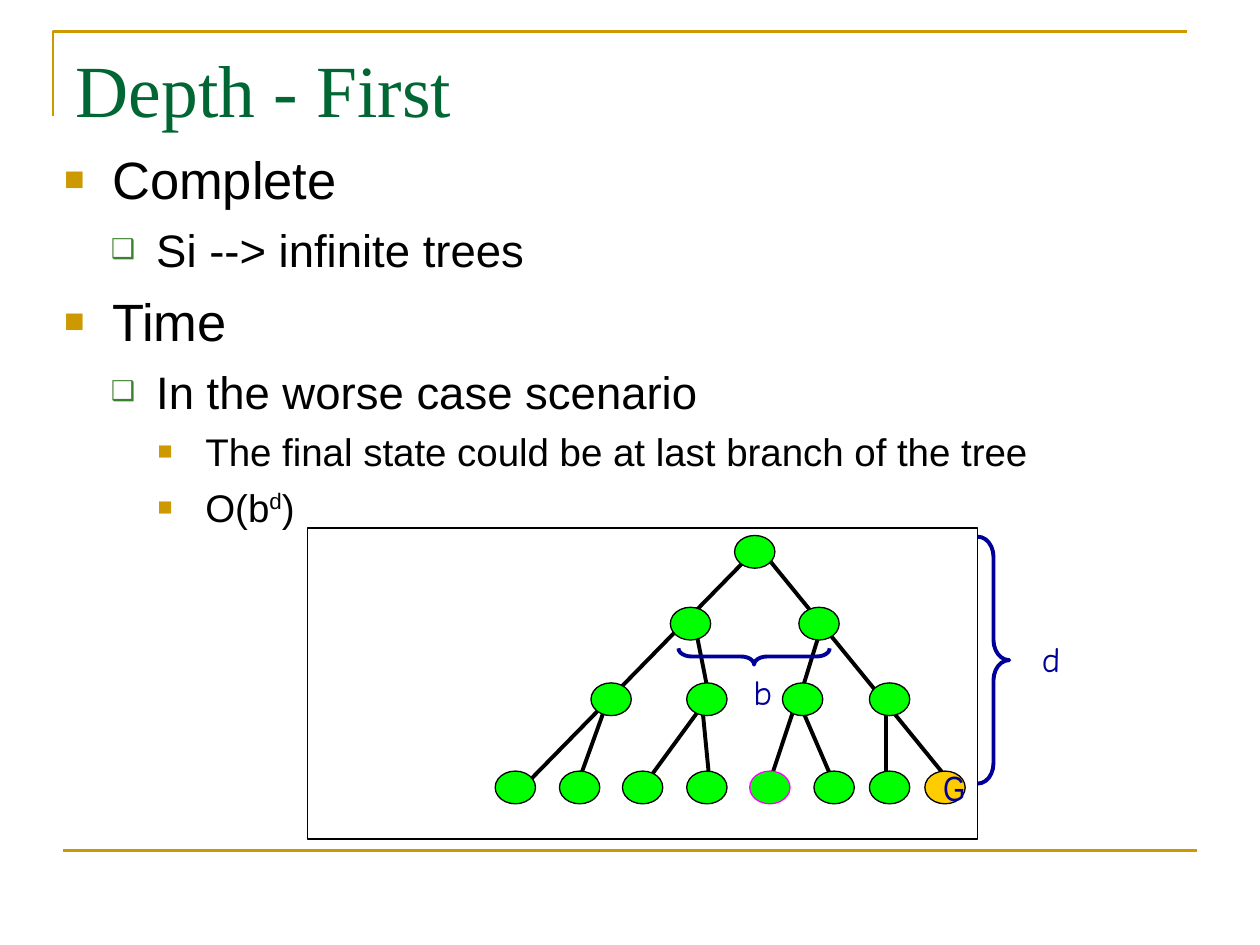
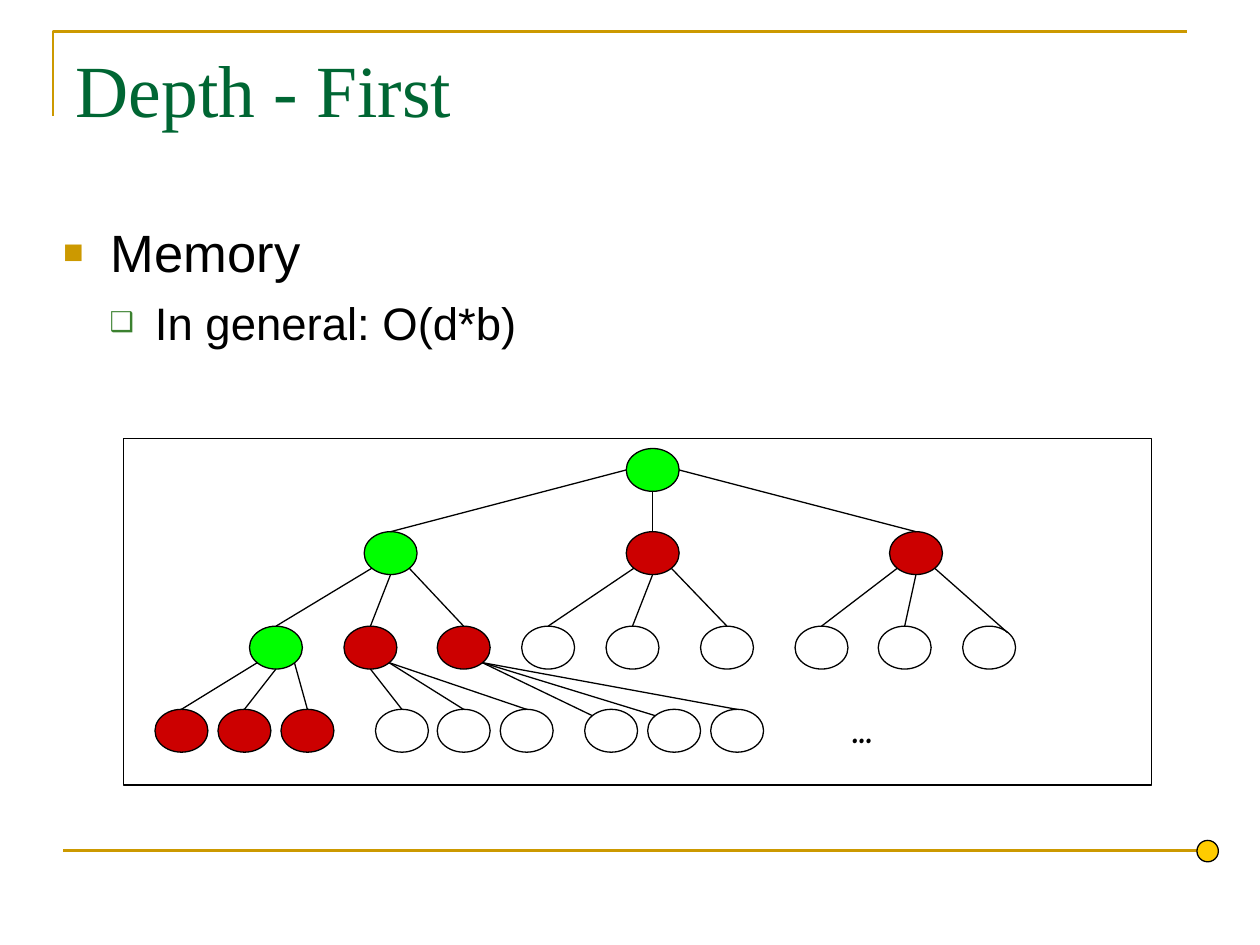
"""Build two slides on the cost of depth-first search."""
from lxml import etree
from pptx import Presentation
from pptx.dml.color import RGBColor
from pptx.enum.shapes import MSO_CONNECTOR as Connector, MSO_SHAPE as Shape
from pptx.enum.text import MSO_ANCHOR as Anchor, MSO_AUTO_SIZE as AutoSize, PP_ALIGN as Align
from pptx.oxml.ns import qn
from pptx.util import Inches, Pt

COLOURS = {
    "gold": "CC9900", "title": "006633", "bullet": "3B812F", "navy": "000099",
    "black": "000000", "white": "FFFFFF", "green": "00FF00", "red": "CC0000",
    "goal": "FFCC00", "magenta": "FF00FF",
}
TITLE = "Depth - First"
LEVELS = [
    {"size": 30, "before": 7.5, "left": 0.38, "hang": 0.38, "bullet": "■", "colour": "gold", "scale": 65},
    {"size": 26, "before": 6.5, "left": 0.73, "hang": 0.36, "bullet": "❑", "colour": "bullet", "scale": 60},
    {"size": 22, "before": 5.5, "left": 1.12, "hang": 0.38, "bullet": "■", "colour": "gold", "scale": 65},
]
TIME_POINTS = [
    (0, ["Complete"]),
    (1, ["Si --> infinite trees"]),
    (0, ["Time"]),
    (1, ["In the worse case scenario"]),
    (2, ["The final state could be at last branch of the tree"]),
    (2, ["O(b", "d", ")"]),
]
MEMORY_POINTS = [(0, ["Memory"]), (1, ["In general: O(d*b)"])]

TIME_NODE = (0.32, 0.26)
TIME_ROWS = [
    (4.25, [5.83]),
    (4.82, [5.32, 6.34]),
    (5.42, [4.69, 5.45, 6.21, 6.9]),
    (6.12, [3.93, 4.44, 4.94, 5.45, 5.95, 6.46, 6.9, 7.34]),
]
TIME_EDGES = [
    (7.03, 5.51, 7.03, 6.22), (6.34, 5.57, 6.65, 6.29), (6.34, 5.51, 6.08, 6.29),
    (5.57, 5.57, 5.64, 6.29), (5.64, 5.51, 5.07, 6.29), (4.82, 5.57, 4.56, 6.29),
    (6.53, 4.94, 6.33, 5.59), (5.51, 4.94, 5.64, 5.59),
    (6.02, 4.34, 4.12, 6.28), (6.02, 4.34, 7.6, 6.28),
]
TIME_LABELS = [("d", 8.17, 5.01), ("b", 5.88, 5.27)]

MEMORY_NODE = (0.42, 0.34)
MEMORY_ROWS = [
    (3.56, [(4.97, "green")]),
    (4.22, [(2.89, "green"), (4.97, "red"), (7.06, "red")]),
    (4.97, [(1.98, "green"), (2.73, "red"), (3.47, "red"), (4.14, "white"), (4.81, "white"),
            (5.56, "white"), (6.31, "white"), (6.97, "white"), (7.64, "white")]),
    (5.63, [(1.23, "red"), (1.73, "red"), (2.23, "red"), (2.98, "white"), (3.47, "white"),
            (3.97, "white"), (4.64, "white"), (5.14, "white"), (5.64, "white")]),
]
NODE_SITES = {
    "top": (0.5, 0), "top left": (0.15, 0.15), "top right": (0.85, 0.15),
    "left": (0, 0.5), "right": (1, 0.5), "bottom": (0.5, 1),
    "bottom left": (0.15, 0.85), "bottom right": (0.85, 0.85),
}
FAN = ("bottom left", "bottom", "bottom right")
PARENT_SITES = {
    (0, 0): ("left", "bottom", "right"),
    (2, 1): ("bottom", "bottom right", "bottom right"),
    (2, 2): ("bottom right",) * 3,
}
CHILD_SITES = {(2, 8): "top right", (3, 6): "top left", (3, 7): "top left"}


def rgb(name):
    return RGBColor.from_string(COLOURS[name])


def style_font(font, name, size, colour, bold=False):
    font.name, font.size, font.bold = name, Pt(size), bold
    font.color.rgb = rgb(colour)


def place(shape, *box):
    shape.left, shape.top, shape.width, shape.height = map(Inches, box)


def add_line(shapes, start, end, colour="black", width=0.75):
    line = shapes.add_connector(Connector.STRAIGHT, *map(Inches, (*start, *end)))
    line.line.color.rgb = rgb(colour)
    line.line.width = Pt(width)
    etree.SubElement(line._element.spPr, qn("a:effectLst"))


def add_preset(shapes, kind, box, fill=None, outline="black", width=0.75):
    shape = shapes.add_shape(kind, *map(Inches, box))
    shape.shadow.inherit = False
    if fill:
        shape.fill.solid()
        shape.fill.fore_color.rgb = rgb(fill)
    else:
        shape.fill.background()
    shape.line.color.rgb = rgb(outline)
    shape.line.width = Pt(width)
    return shape


def add_label(shapes, text, box, size, colour, bold=False):
    label = shapes.add_textbox(*map(Inches, box))
    label.text_frame.text = text
    label.text_frame.word_wrap = False
    label.text_frame.auto_size = AutoSize.SHAPE_TO_FIT_TEXT
    style_font(label.text_frame.paragraphs[0].runs[0].font, "Comic Neue", size, colour, bold)


def set_bullet(paragraph, level):
    properties = paragraph._p.get_or_add_pPr()
    properties.set("marL", str(Inches(level["left"])))
    properties.set("indent", str(-Inches(level["hang"])))
    colour = etree.SubElement(properties, qn("a:buClr"))
    etree.SubElement(colour, qn("a:srgbClr"), val=COLOURS[level["colour"]])
    etree.SubElement(properties, qn("a:buSzPct"), val=str(level["scale"] * 1000))
    etree.SubElement(properties, qn("a:buFont"), typeface="Arial")
    etree.SubElement(properties, qn("a:buChar"), char=level["bullet"])


def fill_body(body, points, box):
    place(body, *box)
    frame = body.text_frame
    frame.auto_size = AutoSize.NONE
    frame.vertical_anchor = Anchor.TOP
    frame.margin_left = frame.margin_top = frame.margin_right = frame.margin_bottom = 0
    for index, (depth, parts) in enumerate(points):
        level = LEVELS[depth]
        paragraph = frame.add_paragraph() if index else frame.paragraphs[0]
        paragraph.level = depth
        set_bullet(paragraph, level)
        paragraph.space_before = Pt(level["before"] if index else 0)
        for position, part in enumerate(parts):
            run = paragraph.add_run()
            run.text = part
            style_font(run.font, "Arial", level["size"], "black")
            if position == 1:
                run._r.get_or_add_rPr().set("baseline", "33000")


def add_framed_slide(presentation, points, box):
    slide = presentation.slides.add_slide(presentation.slide_layouts[1])
    builder = slide.shapes.build_freeform(Inches(0.42), Inches(0.92))
    builder.add_line_segments([(Inches(0.42), Inches(0.25)), (Inches(9.42), Inches(0.25))], close=False)
    corner = builder.convert_to_shape()
    corner.shadow.inherit = False
    corner.fill.background()
    corner.line.color.rgb = rgb("gold")
    corner.line.width = Pt(1.5)
    add_line(slide.shapes, (0.5, 6.75), (9.5, 6.75), "gold", 1.5)

    title = slide.shapes.title
    place(title, 0.5, 0.3, 9, 0.78)
    frame = title.text_frame
    frame.text = TITLE
    frame.auto_size = AutoSize.NONE
    frame.vertical_anchor = Anchor.BOTTOM
    frame.margin_bottom = Inches(0.03)
    frame.paragraphs[0].alignment = Align.LEFT
    style_font(frame.paragraphs[0].runs[0].font, "Times New Roman", 42, "title")
    fill_body(slide.placeholders[1], points, box)
    return slide


def add_goal_text(goal):
    frame = goal.text_frame
    frame.text = "G"
    frame.word_wrap = False
    frame.vertical_anchor = Anchor.MIDDLE
    frame.paragraphs[0].alignment = Align.LEFT
    style_font(frame.paragraphs[0].runs[0].font, "Arial Narrow", 20, "navy")


def build_time_slide(presentation):
    shapes = add_framed_slide(presentation, TIME_POINTS, (0.51, 1.17, 9, 3.04)).shapes
    add_preset(shapes, Shape.RECTANGLE, (2.44, 4.19, 5.32, 2.47), "white")
    for x1, y1, x2, y2 in TIME_EDGES:
        add_line(shapes, (x1, y1), (x2, y2), width=2.25)
    for top, lefts in TIME_ROWS:
        for left in lefts:
            fill = "goal" if left == 7.34 else "green"
            outline = "magenta" if left == 5.95 else "black"
            node = add_preset(shapes, Shape.OVAL, (left, top, *TIME_NODE), fill, outline)
            if fill == "goal":
                add_goal_text(node)
    depth_brace = add_preset(shapes, Shape.RIGHT_BRACE, (7.76, 4.26, 0.25, 1.96), None, "navy", 2.25)
    depth_brace.adjustments[0] = 0.64
    branch_brace = add_preset(shapes, Shape.LEFT_BRACE, (5.92, 4.61, 0.13, 1.2), None, "navy", 2.25)
    branch_brace.adjustments[0] = 0.8
    branch_brace.rotation = 270
    for text, left, top in TIME_LABELS:
        add_label(shapes, text, (left, top, 0.35, 0.44), 20, "navy")


def node_site(row, column, site):
    top, nodes = MEMORY_ROWS[row]
    across, down = NODE_SITES[site]
    width, height = MEMORY_NODE
    return nodes[column][0] + across * width, top + down * height


def build_memory_slide(presentation):
    slide = add_framed_slide(presentation, MEMORY_POINTS, (0.5, 1.75, 9, 1.02))
    shapes = slide.shapes.add_group_shape().shapes
    add_preset(shapes, Shape.RECTANGLE, (0.98, 3.48, 8.16, 2.75), "white")
    for top, nodes in MEMORY_ROWS:
        for left, fill in nodes:
            add_preset(shapes, Shape.OVAL, (left, top, *MEMORY_NODE), fill)
    for row in range(1, len(MEMORY_ROWS)):
        for column in range(len(MEMORY_ROWS[row][1])):
            parent, branch = divmod(column, 3)
            start_site = PARENT_SITES.get((row - 1, parent), FAN)[branch]
            end_site = CHILD_SITES.get((row, column), "top")
            add_line(shapes, node_site(row - 1, parent, start_site), node_site(row, column, end_site))
    add_label(shapes, "...", (6.66, 5.55, 0.42, 0.47), 22, "black", True)
    add_preset(slide.shapes, Shape.OVAL, (9.5, 6.67, 0.17, 0.17), "goal")


def main():
    presentation = Presentation()
    presentation.slide_width, presentation.slide_height = Inches(10), Inches(7.5)
    build_time_slide(presentation)
    build_memory_slide(presentation)
    presentation.save("out.pptx")


if __name__ == "__main__":
    main()
